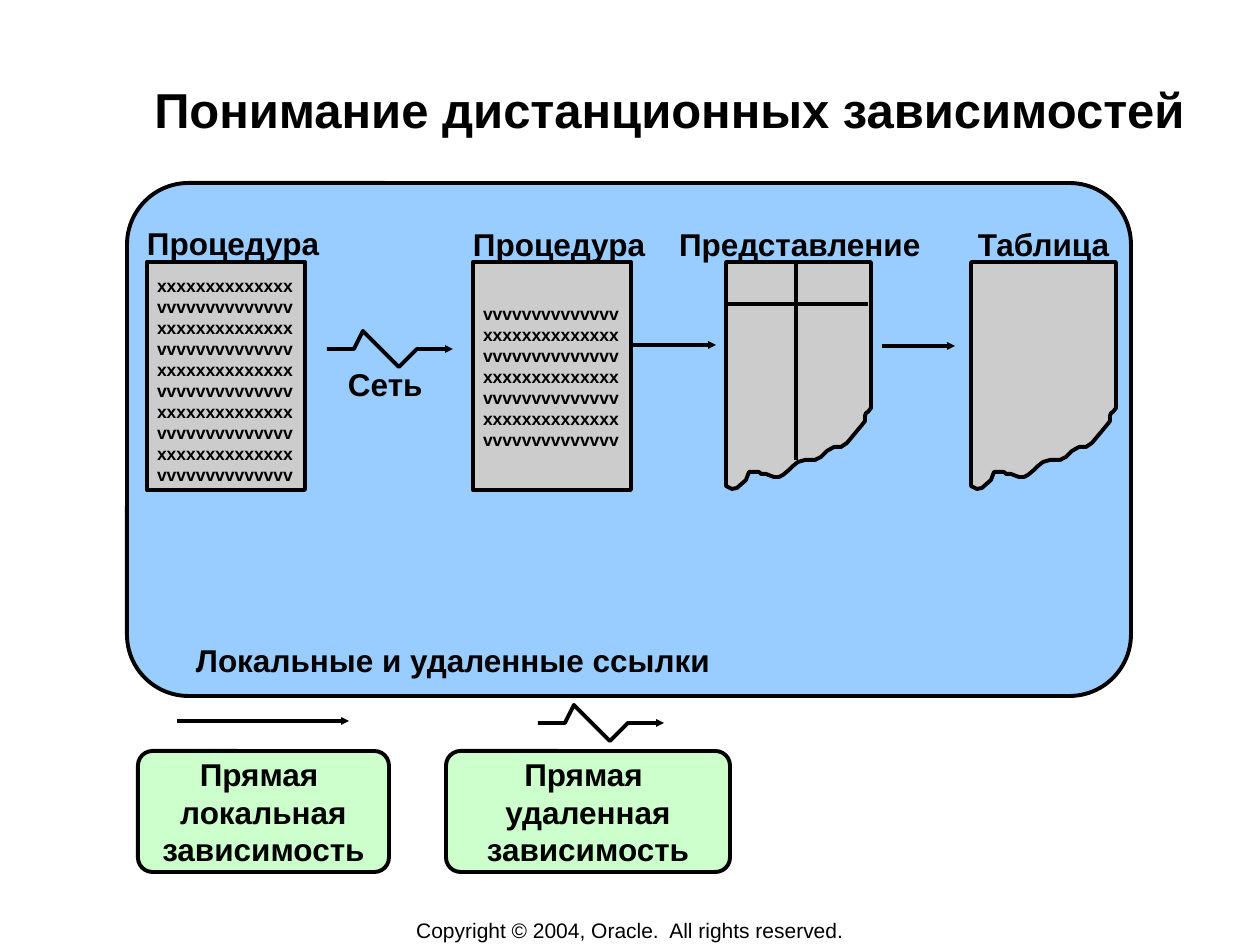
from lxml.etree import SubElement
from pptx import Presentation
from pptx.dml.color import RGBColor
from pptx.enum.shapes import MSO_CONNECTOR, MSO_SHAPE
from pptx.enum.text import MSO_ANCHOR, PP_ALIGN
from pptx.oxml.ns import qn
from pptx.util import Pt

SCALE = 914400 / 126
BLACK, BLUE, GRAY, GREEN = "000000", "99CCFF", "CCCCCC", "CCFFCC"
XS, VS = "x" * 14, "v" * 14

# Outline of a torn sheet, from its top left corner
SHEET = [
    (145, 146), (145, 0), (0, 0), (0, 224), (6, 227), (11, 226), (20, 218),
    (23, 210), (33, 210), (35, 212), (40, 212), (45, 214), (48, 215),
    (53, 215), (57, 213), (63, 208), (67, 204), (72, 200), (79, 198),
    (89, 198), (95, 195), (101, 189), (108, 185), (115, 185), (121, 181),
    (126, 175), (131, 169), (136, 163), (139, 159), (139, 154), (140, 151),
    (142, 150),
]
# Zigzag that stands for a network link
ZIGZAG = [(0, 18), (27, 18), (36, 0), (72, 36), (90, 18), (126, 18)]


def px(n):
    return round(n * SCALE)


def color(code):
    return RGBColor.from_string(code)


def ink(line):
    line.color.rgb = color(BLACK)
    line.width = Pt(2.25)


def head(shape):
    """Put an arrowhead at the end of an inked line."""
    SubElement(shape._element.spPr.find(qn("a:ln")), qn("a:tailEnd"),
               type="triangle", w="sm", len="sm")


def write(shape, lines, size, bold=True, align=PP_ALIGN.LEFT,
          anchor=MSO_ANCHOR.TOP, pad=(12, 6), wrap=False):
    frame = shape.text_frame
    frame.word_wrap = wrap
    frame.vertical_anchor = anchor
    frame.margin_left = frame.margin_right = px(pad[0])
    frame.margin_top = frame.margin_bottom = px(pad[1])
    frame.text = "\n".join(lines)
    for para in frame.paragraphs:
        para.alignment = align
        para.font.name = "Arial"
        para.font.size = Pt(size)
        para.font.bold = bold
        para.font.color.rgb = color(BLACK)


def label(slide, text, x, y, w, h=50, size=18, **style):
    box = slide.shapes.add_textbox(px(x), px(y), px(w), px(h))
    write(box, [text], size, **style)


def block(slide, kind, x, y, w, h, fill):
    shape = slide.shapes.add_shape(kind, px(x), px(y), px(w), px(h))
    shape.shadow.inherit = False
    shape.fill.solid()
    shape.fill.fore_color.rgb = color(fill)
    ink(shape.line)
    if kind == MSO_SHAPE.ROUNDED_RECTANGLE:
        shape.adjustments[0] = 0.12
    return shape


def code(slide, x, y, lines):
    """Procedure body: a gray page with lines of code on it."""
    block(slide, MSO_SHAPE.RECTANGLE, x, 262, 158, 228, GRAY)
    box = slide.shapes.add_textbox(px(x), px(y), px(156),
                                   px(21 * len(lines) + 10))
    write(box, lines, 10, pad=(10, 5))


def line(slide, x1, y1, x2, y2, arrow=False):
    link = slide.shapes.add_connector(MSO_CONNECTOR.STRAIGHT,
                                      px(x1), px(y1), px(x2), px(y2))
    ink(link.line)
    if arrow:
        head(link)
    SubElement(link._element.spPr, qn("a:effectLst"))


def outline(slide, x, y, points, close):
    start, *rest = [(x + dx, y + dy) for dx, dy in points]
    pen = slide.shapes.build_freeform(*start, scale=SCALE)
    pen.add_line_segments(rest, close=close)
    shape = pen.convert_to_shape()
    ink(shape.line)
    if close:
        shape.fill.solid()
        shape.fill.fore_color.rgb = color(GRAY)
    else:
        shape.fill.background()
        head(shape)
    shape.shadow.inherit = False


def main():
    deck = Presentation()
    deck.slide_width, deck.slide_height = px(1260), px(945)
    slide = deck.slides.add_slide(deck.slide_layouts[6])

    # Title and copyright line
    label(slide, "Понимание дистанционных зависимостей", 122, 79, 1095, 116,
          size=28, align=PP_ALIGN.CENTER, pad=(1, 1), wrap=True)
    label(slide, "Copyright © 2004, Oracle.  All rights reserved.",
          347, 917, 566, 26, size=12, bold=False, align=PP_ALIGN.CENTER,
          anchor=MSO_ANCHOR.MIDDLE)

    # Main panel
    block(slide, MSO_SHAPE.ROUNDED_RECTANGLE, 127, 183, 1004, 513, BLUE)

    # Procedures
    code(slide, 147, 270, [XS, VS] * 5)
    code(slide, 473, 298, [VS, XS] * 3 + [VS])

    # View and table
    for x in (726, 971):
        outline(slide, x, 262, SHEET, True)
    line(slide, 796, 264, 796, 460)
    line(slide, 727, 304, 868, 304)

    # Labels
    for text, x, y, w in [
        ("Процедура", 135, 218, 198),
        ("Процедура", 461, 219, 198),
        ("Представление", 667, 219, 268),
        ("Таблица", 966, 219, 158),
        ("Сеть", 336, 359, 101),
        ("Локальные и удаленные ссылки", 184, 635, 541),
    ]:
        label(slide, text, x, y, w)

    # Local links, then remote links
    for x1, x2, y in [(633, 716, 345), (882, 955, 346), (177, 349, 721)]:
        line(slide, x1, y, x2, y, arrow=True)
    for x, y in [(327, 331), (538, 705)]:
        outline(slide, x, y, ZIGZAG, False)

    # Legend
    for x, w, word in [(138, 251, "локальная"), (446, 284, "удаленная")]:
        key = block(slide, MSO_SHAPE.ROUNDED_RECTANGLE, x, 751, w, 121, GREEN)
        write(key, ["Прямая ", word, "зависимость"], 18,
              align=PP_ALIGN.CENTER, anchor=MSO_ANCHOR.MIDDLE)

    deck.save("out.pptx")


if __name__ == "__main__":
    main()
